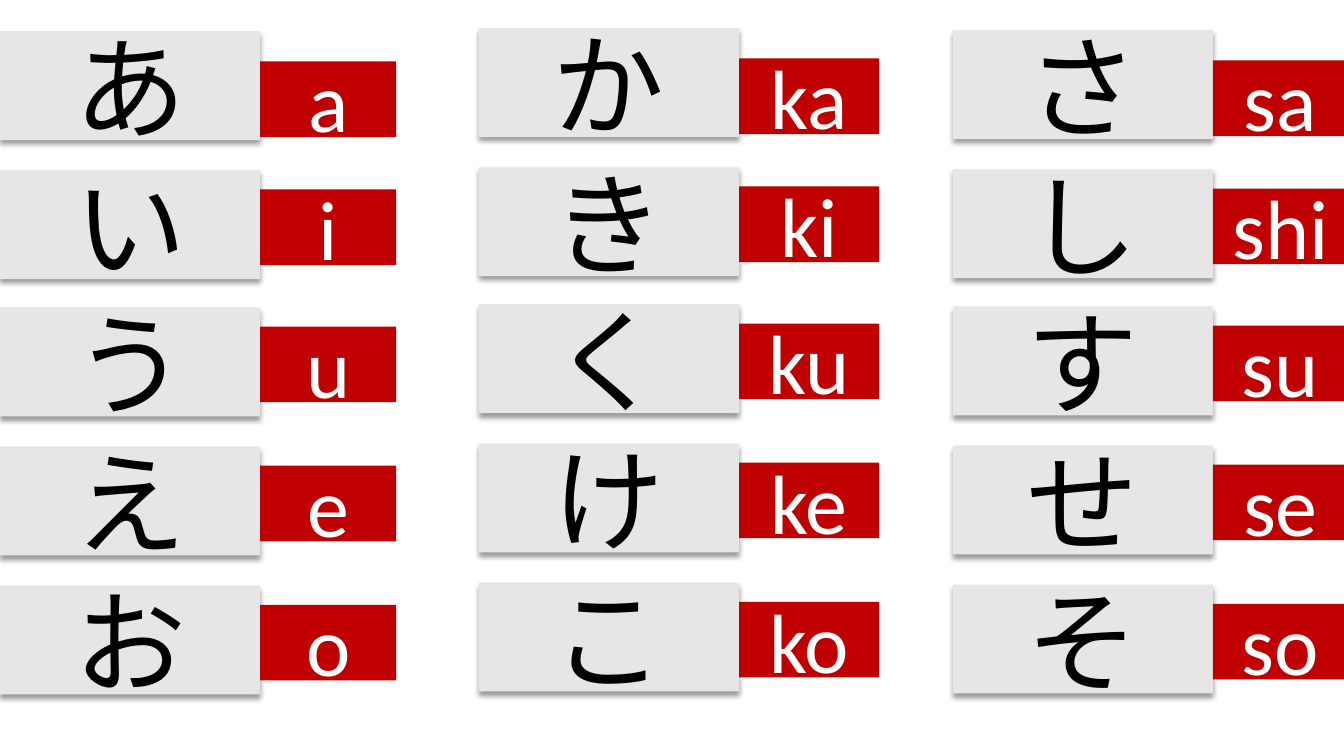
from dataclasses import dataclass

from lxml.etree import SubElement
from pptx import Presentation
from pptx.dml.color import RGBColor
from pptx.enum.shapes import MSO_SHAPE
from pptx.enum.text import MSO_ANCHOR, PP_ALIGN
from pptx.oxml.ns import qn
from pptx.shapes.autoshape import Shape
from pptx.slide import Slide
from pptx.util import Emu, Pt

PX = 9144  # 100 px to the inch


@dataclass(frozen=True)
class Theme:
    font: str = "Calibri"
    card: str = "E7E6E6"
    label: str = "C00000"
    kana: str = "000000"
    romaji: str = "FFFFFF"
    shadow: str = "000000"
    kana_pt: int = 80
    romaji_pt: int = 60


@dataclass(frozen=True)
class KanaColumn:
    left: int
    top: int
    label_width: int
    kana: str
    romaji: tuple[str, ...]


THEME = Theme()
CARD_WIDTH, CARD_HEIGHT, LABEL_HEIGHT = 258, 108, 75
ROW_OFFSETS = (0, 138, 274, 412, 550)
LABEL_DROPS = (30, 19, 19, 19, 19)
COLUMNS = (
    KanaColumn(0, 31, 135, "あいうえお", ("a", "i", "u", "e", "o")),
    KanaColumn(475, 28, 139, "かきくけこ", ("ka", "ki", "ku", "ke", "ko")),
    KanaColumn(945, 30, 134, "さしすせそ", ("sa", "shi", "su", "se", "so")),
)


def px(n: int) -> Emu:
    return Emu(n * PX)


def write(s: Shape, text: str, *, size: int, color: str) -> None:
    tf = s.text_frame
    tf.word_wrap = True
    tf.vertical_anchor = MSO_ANCHOR.MIDDLE
    p = tf.paragraphs[0]
    p.alignment = PP_ALIGN.CENTER
    r = p.add_run()
    r.text = text
    r.font.name = THEME.font
    r.font.size = Pt(size)
    r.font.color.rgb = RGBColor.from_string(color)


def add_box(slide: Slide, left: int, top: int, width: int, height: int, fill: str) -> Shape:
    s = slide.shapes.add_shape(MSO_SHAPE.RECTANGLE, px(left), px(top), px(width), px(height))
    s.fill.solid()
    s.fill.fore_color.rgb = RGBColor.from_string(fill)
    s.line.fill.background()
    s.shadow.inherit = False
    return s


def drop_shadow(s: Shape) -> None:
    """Cast a soft 40% shadow straight down."""
    effects = s._element.spPr.find(qn("a:effectLst"))
    shadow = SubElement(effects, qn("a:outerShdw"), blurRad=str(Pt(4)), dist=str(Pt(3)),
                        dir="5400000", algn="t", rotWithShape="0")
    color = SubElement(shadow, qn("a:srgbClr"), val=THEME.shadow)
    SubElement(color, qn("a:alpha"), val="40000")


def draw_column(slide: Slide, col: KanaColumn) -> None:
    for kana, romaji, offset, drop in zip(col.kana, col.romaji, ROW_OFFSETS, LABEL_DROPS):
        top = col.top + offset
        card = add_box(slide, col.left, top, CARD_WIDTH, CARD_HEIGHT, THEME.card)
        drop_shadow(card)
        write(card, kana, size=THEME.kana_pt, color=THEME.kana)
        label = add_box(slide, col.left + CARD_WIDTH, top + drop,
                        col.label_width, LABEL_HEIGHT, THEME.label)
        write(label, romaji, size=THEME.romaji_pt, color=THEME.romaji)


def main() -> None:
    prs = Presentation()
    prs.slide_width, prs.slide_height = px(1333), px(750)
    slide = prs.slides.add_slide(prs.slide_layouts[6])
    for col in COLUMNS:
        draw_column(slide, col)
    prs.save("out.pptx")


if __name__ == "__main__":
    main()
